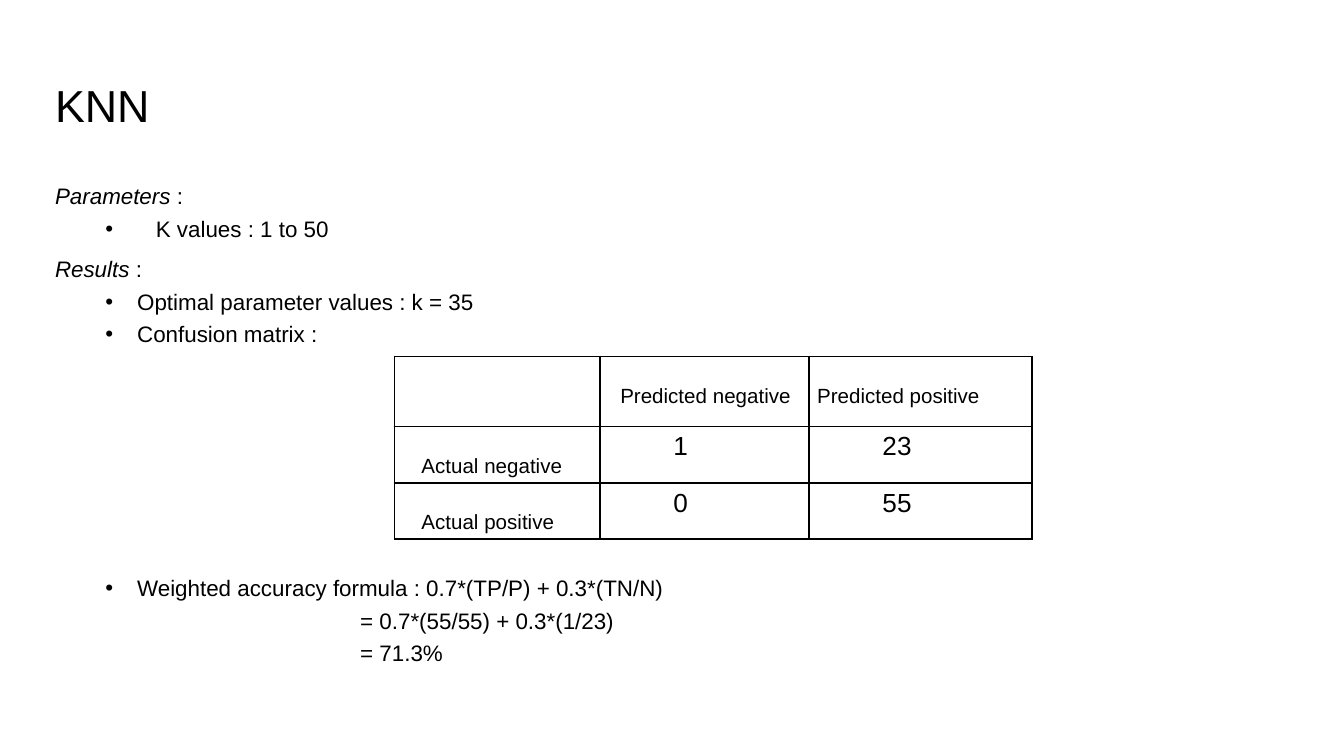
from lxml.etree import SubElement
from pptx import Presentation
from pptx.dml.color import RGBColor
from pptx.enum.text import MSO_ANCHOR as Anchor
from pptx.oxml.ns import qn
from pptx.util import Pt

INK = "000000"
FONT = "Arial"

TITLE = "KNN"
BODY = [
    ("heading", "Parameters", " :"),
    ("wide bullet", "K values : 1 to 50"),
    ("heading", "Results", " :"),
    ("bullet", "Optimal parameter values : k = 35"),
    ("bullet", "Confusion matrix :"),
    ("bullet below matrix", "Weighted accuracy formula : 0.7*(TP/P) + 0.3*(TN/N)"),
    ("equation", "= 0.7*(55/55) + 0.3*(1/23)"),
    ("equation", "= 71.3%"),
]
MATRIX = [
    ["", "Predicted negative", "Predicted positive"],
    ["Actual negative", "1", "23"],
    ["Actual positive", "0", "55"],
]

LEVELS = {
    "heading": {"before": 8.75, "left": 0, "hang": 0},
    "wide bullet": {"before": 4.5, "left": 54, "hang": 27},
    "bullet": {"before": 4.5, "left": 44, "hang": 17},
    "bullet below matrix": {"before": 123, "left": 44, "hang": 17},
    "equation": {"before": 4.5, "left": 163.5, "hang": 0},
}
TITLE_BOX = (24.5, 35.3, 671, 45.4)
BODY_BOX = (24.5, 96.5, 671, 291.6)
MATRIX_AT = (211.3, 191)
COLUMN_WIDTHS = [110, 112, 119.5]
ROW_HEIGHTS = [37.5, 30, 30]
LABEL_INDENTS = [14.5, 11, 4.5]
LABEL = {"size": 11, "top": 15}
COUNT = {"size": 14, "top": 3, "indent": 39.5}


def rgb(value):
    return RGBColor.from_string(value)


def assign(target, values):
    for name, value in values.items():
        setattr(target, name, value)


def write(paragraph, text, size, italic=False):
    run = paragraph.add_run()
    run.text = text
    assign(run.font, {"name": FONT, "size": Pt(size), "italic": italic})
    run.font.color.rgb = rgb(INK)


def add_frame(slide, box, anchor):
    frame = slide.shapes.add_textbox(*map(Pt, box)).text_frame
    assign(frame, {
        "word_wrap": True, "vertical_anchor": anchor,
        "margin_left": Pt(5), "margin_right": Pt(5),
        "margin_top": Pt(2.7), "margin_bottom": Pt(2.7),
    })
    return frame


def indent(paragraph, left, hang):
    properties = paragraph._p.get_or_add_pPr()
    properties.set("marL", str(Pt(left)))
    properties.set("indent", str(-Pt(hang)))
    if hang:
        SubElement(properties, qn("a:buFont"), typeface=FONT)
        SubElement(properties, qn("a:buChar"), char="•")
    else:
        SubElement(properties, qn("a:buNone"))


def add_title(slide):
    paragraph = add_frame(slide, TITLE_BOX, Anchor.MIDDLE).paragraphs[0]
    paragraph.line_spacing = 0.9
    write(paragraph, TITLE, 24)


def add_body(slide):
    frame = add_frame(slide, BODY_BOX, Anchor.TOP)
    for number, (kind, *parts) in enumerate(BODY):
        paragraph = frame.add_paragraph() if number else frame.paragraphs[0]
        level = LEVELS[kind]
        before = level["before"] if number else 0
        assign(paragraph, {"line_spacing": 0.9, "space_before": Pt(before)})
        indent(paragraph, level["left"], level["hang"])
        for position, part in enumerate(parts):
            write(paragraph, part, 12, kind == "heading" and position == 0)


def outline(cell):
    properties = cell._tc.get_or_add_tcPr()
    for side in ("lnL", "lnR", "lnT", "lnB"):
        line = SubElement(properties, qn(f"a:{side}"), w=str(Pt(1)))
        fill = SubElement(line, qn("a:solidFill"))
        SubElement(fill, qn("a:srgbClr"), val=INK)
    cell.fill.background()


def add_matrix(slide):
    size = (sum(COLUMN_WIDTHS), sum(ROW_HEIGHTS))
    table = slide.shapes.add_table(
        len(ROW_HEIGHTS), len(COLUMN_WIDTHS), *map(Pt, MATRIX_AT + size)).table
    assign(table, {"first_row": False, "horz_banding": False})
    for column, width in zip(table.columns, COLUMN_WIDTHS):
        column.width = Pt(width)
    for row, height in zip(table.rows, ROW_HEIGHTS):
        row.height = Pt(height)
    for r, values in enumerate(MATRIX):
        for c, value in enumerate(values):
            cell = table.cell(r, c)
            style = COUNT if r and c else LABEL
            left = style.get("indent", LABEL_INDENTS[c])
            assign(cell, {
                "margin_left": Pt(left), "margin_right": Pt(2),
                "margin_top": Pt(style["top"]), "margin_bottom": Pt(2),
                "vertical_anchor": Anchor.TOP,
            })
            outline(cell)
            paragraph = cell.text_frame.paragraphs[0]
            paragraph.font.size = Pt(style["size"])
            if value:
                write(paragraph, value, style["size"])


def main():
    deck = Presentation()
    assign(deck, {"slide_width": Pt(720), "slide_height": Pt(405)})
    slide = deck.slides.add_slide(deck.slide_layouts[6])
    add_title(slide)
    add_body(slide)
    add_matrix(slide)
    deck.save("out.pptx")


if __name__ == "__main__":
    main()
